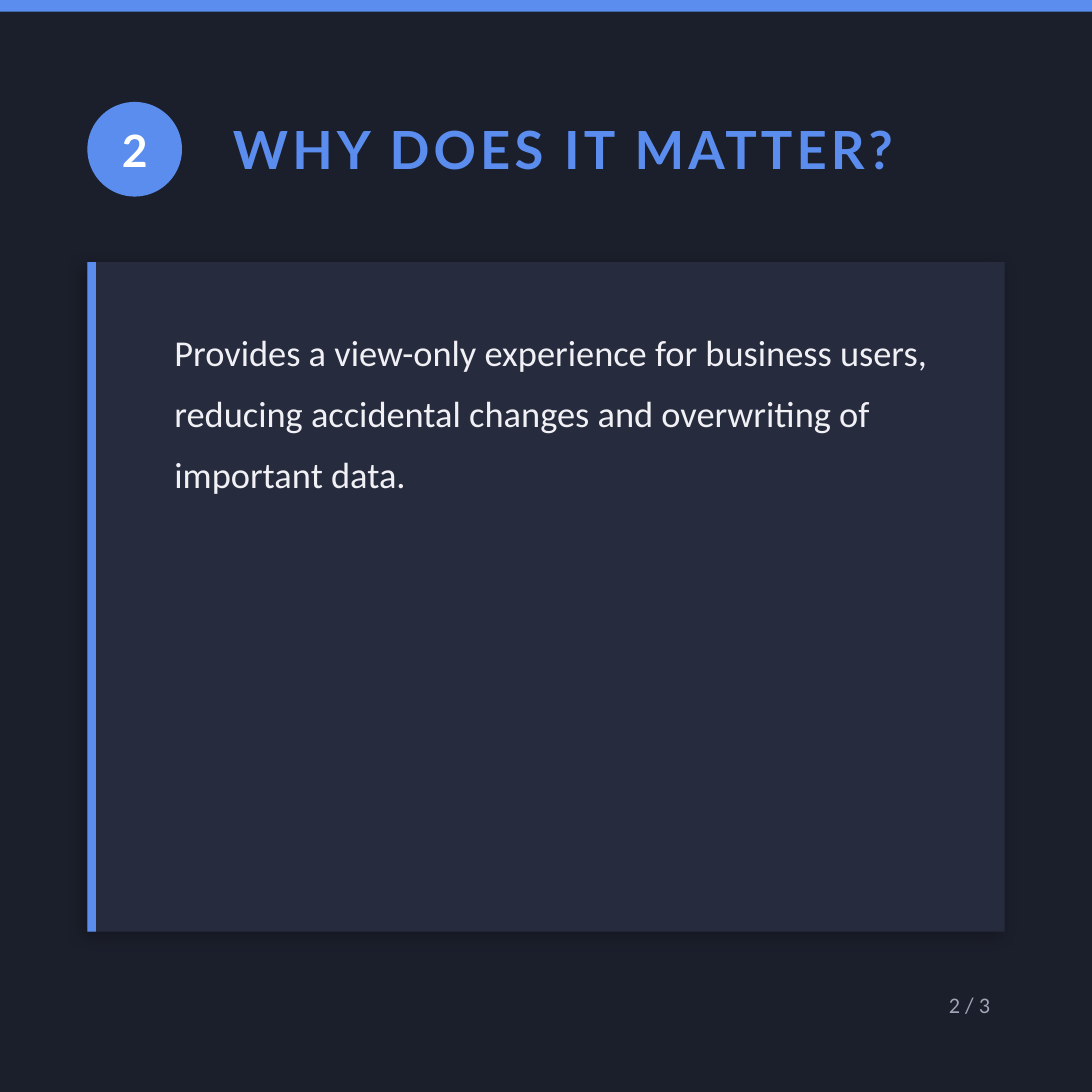
from lxml.etree import SubElement
from pptx import Presentation
from pptx.dml.color import RGBColor
from pptx.enum.shapes import MSO_SHAPE as Shape
from pptx.enum.text import MSO_ANCHOR as Anchor, MSO_AUTO_SIZE as Fit, PP_ALIGN as Align
from pptx.oxml.ns import qn
from pptx.util import Inches, Pt

DARK = RGBColor(0x1B, 0x1F, 0x2B)
PANEL = RGBColor(0x26, 0x2B, 0x3D)
BLUE = RGBColor(0x5B, 0x8D, 0xEF)
WHITE = RGBColor(0xFF, 0xFF, 0xFF)
PALE = RGBColor(0xF0, 0xF0, 0xF5)
GREY = RGBColor(0xA0, 0xA4, 0xB8)
SIZE = 7.5
EDGE = 0.6
WIDTH = SIZE - 2 * EDGE


def add_block(slide, kind, left, top, width, height, color):
    block = slide.shapes.add_shape(kind, *map(Inches, (left, top, width, height)))
    block.shadow.inherit = False
    block.fill.solid()
    block.fill.fore_color.rgb = color
    block.line.fill.background()
    return block


def add_box(slide, left, top, width, height):
    return slide.shapes.add_textbox(*map(Inches, (left, top, width, height)))


def write(shape, text, face, size, color, bold=False, align=Align.LEFT, anchor=Anchor.MIDDLE):
    frame = shape.text_frame
    frame.text = text
    frame.word_wrap = True
    frame.auto_size = Fit.NONE
    frame.vertical_anchor = anchor
    para = frame.paragraphs[0]
    para.alignment = align
    font = para.font
    font.name, font.size, font.bold = face, Pt(size), bold
    font.color.rgb = color
    return para


def cast_shadow(shape):
    """Give the shape a soft black shadow towards the lower left."""
    effects = shape.element.spPr.find(qn("a:effectLst"))
    outer = SubElement(effects, qn("a:outerShdw"), blurRad=str(Pt(8)),
                       dist=str(Pt(3)), dir=str(135 * 60000), rotWithShape="0")
    black = SubElement(outer, qn("a:srgbClr"), val="000000")
    SubElement(black, qn("a:alpha"), val="25000")


def add_header(slide, left, top, width, number, text):
    """Place the numbered badge and, to its right, the title."""
    badge = add_block(slide, Shape.OVAL, left, top, 0.65, 0.65, BLUE)
    write(badge, number, "Lato", 22, WHITE, True, Align.CENTER)
    frame = badge.text_frame
    frame.margin_left = frame.margin_right = frame.margin_top = frame.margin_bottom = 0

    title = slide.shapes.title
    title.left, title.top = Inches(left + 0.9), Inches(top + 0.02)
    title.width, title.height = Inches(width - 0.9), Inches(0.6)
    para = write(title, text, "Lato", 26, BLUE, True)
    para.runs[0].font._element.set("spc", "200")


def add_card(slide, left, top, width, height, text):
    card = add_block(slide, Shape.RECTANGLE, left, top, width, height, PANEL)
    cast_shadow(card)
    add_block(slide, Shape.RECTANGLE, left, top, 0.06, height, BLUE)
    body = add_box(slide, left + 0.5, top + 0.3, width - 0.8, height - 0.6)
    para = write(body, text, "Calibri", 18, PALE, anchor=Anchor.TOP)
    para.line_spacing = 1.4


def add_footer(slide, left, top, width, text):
    box = add_box(slide, left, top, width, 0.4)
    write(box, text, "Calibri", 11, GREY, align=Align.RIGHT)


def main():
    deck = Presentation()
    deck.slide_width = deck.slide_height = Inches(SIZE)
    slide = deck.slides.add_slide(deck.slide_layouts[5])
    slide.background.fill.solid()
    slide.background.fill.fore_color.rgb = DARK

    add_block(slide, Shape.RECTANGLE, 0, 0, SIZE, 0.08, BLUE)
    add_header(slide, EDGE, 0.7, WIDTH, "2", "WHY DOES IT MATTER?")
    add_card(slide, EDGE, 1.8, WIDTH, 4.6,
             "Provides a view-only experience for business users, reducing "
             "accidental changes and overwriting of important data.")
    add_footer(slide, EDGE, 6.7, WIDTH, "2 / 3")
    deck.save("out.pptx")


if __name__ == "__main__":
    main()
